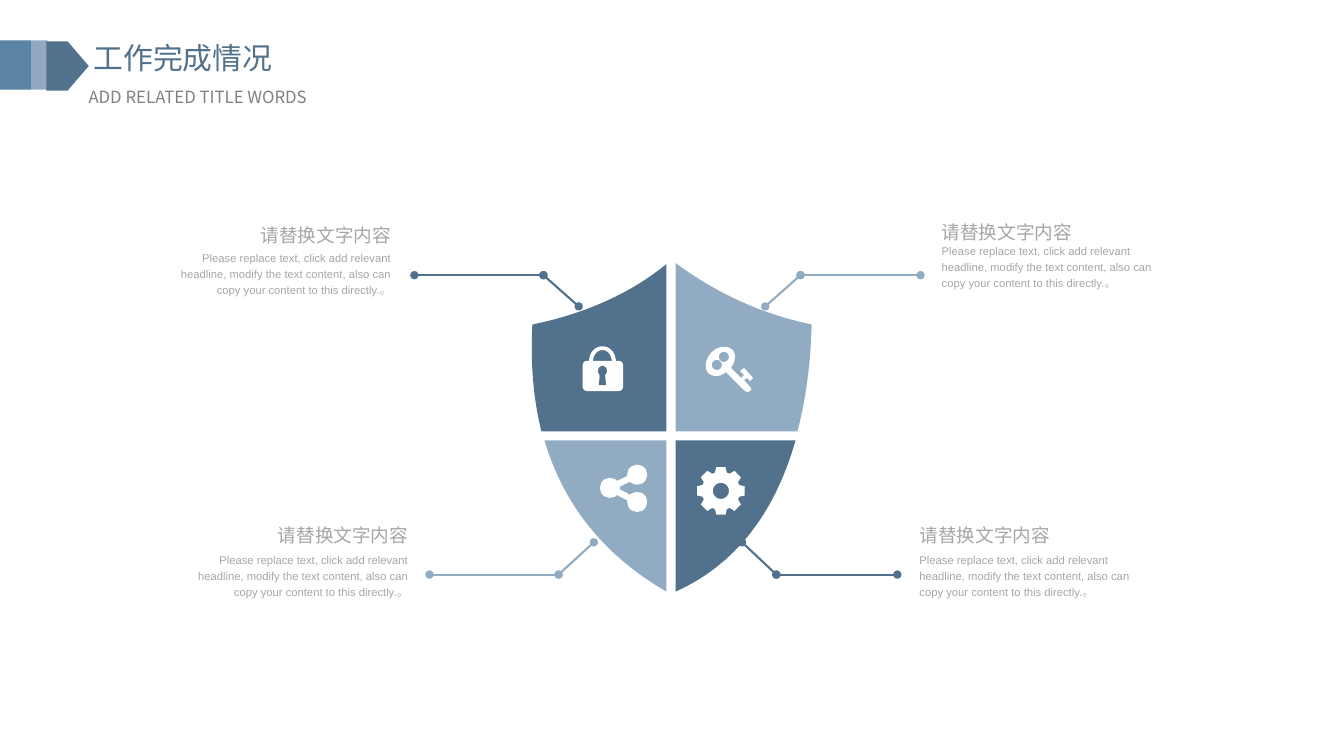
import math

import lxml.etree
import pptx
import pptx.dml.color
import pptx.enum.shapes
import pptx.enum.text
import pptx.oxml.ns
import pptx.util

Inches = pptx.util.Inches
SHAPE = pptx.enum.shapes.MSO_SHAPE
ALIGN = pptx.enum.text.PP_ALIGN
DARK, LIGHT, WHITE = "51718D", "91ACC2", "FFFFFF"
GREY = "A6A6A6"
HEADING = "请替换文字内容"
BODY = ("Please replace text, click add relevant headline, modify the text content, "
        "also can copy your content to this directly.。")


def color(value):
    """Return the colour for a hex string."""
    return pptx.dml.color.RGBColor.from_string(value)


def paint(shape, fill):
    """Give a shape a flat fill without line or shadow."""
    shape.shadow.inherit = False
    shape.fill.solid()
    shape.fill.fore_color.rgb = color(fill)
    shape.line.fill.background()


def add_preset(page, kind, box, fill):
    """Place a flat preset shape in a box."""
    shape = page.shapes.add_shape(kind, *map(Inches, box))
    paint(shape, fill)
    return shape


def add_text(page, box, text, size, ink, font="Arial", align=ALIGN.LEFT,
             margins=(0, 0), spacing=None, wrap=True, middle=False):
    """Place one formatted paragraph in a box."""
    frame = page.shapes.add_textbox(*map(Inches, box)).text_frame
    frame.word_wrap = wrap
    frame.auto_size = pptx.enum.text.MSO_AUTO_SIZE.SHAPE_TO_FIT_TEXT
    frame.margin_left = frame.margin_right = Inches(margins[0])
    frame.margin_top = frame.margin_bottom = Inches(margins[1])
    if middle:
        frame.vertical_anchor = pptx.enum.text.MSO_ANCHOR.MIDDLE
    para = frame.paragraphs[0]
    para.alignment = align
    para.line_spacing = spacing
    span = para.add_run()
    span.text = text
    span.font.size = pptx.util.Pt(size)
    span.font.name = font
    span.font.color.rgb = color(ink)
    east_asian = lxml.etree.SubElement(span.font._element, pptx.oxml.ns.qn("a:ea"))
    east_asian.set("typeface", font)


def add_line(page, start, end, ink, width, dots=False):
    """Draw a straight line, with round ends on request."""
    line = page.shapes.add_connector(
        pptx.enum.shapes.MSO_CONNECTOR.STRAIGHT, *map(Inches, start + end))
    line.line.color.rgb = color(ink)
    line.line.width = pptx.util.Pt(width)
    if dots:
        stroke = line.line._get_or_add_ln()
        for name in ("a:headEnd", "a:tailEnd"):
            lxml.etree.SubElement(stroke, pptx.oxml.ns.qn(name)).set("type", "oval")
    lxml.etree.SubElement(line._element.spPr, pptx.oxml.ns.qn("a:effectLst"))


def curve(start, first, second, end, steps=16):
    """Return points along a cubic curve."""
    points = []
    for step in range(steps + 1):
        t = step / steps
        weights = ((1 - t) ** 3, 3 * t * (1 - t) ** 2, 3 * t * t * (1 - t), t ** 3)
        points.append(tuple(sum(w * p[axis] for w, p in zip(weights, (start, first, second, end)))
                            for axis in (0, 1)))
    return points


def circle(x, y, radius, steps=32):
    """Return points around a circle."""
    turns = [2 * math.pi * step / steps for step in range(steps)]
    return [(x + radius * math.cos(a), y + radius * math.sin(a)) for a in turns]


def add_outline(page, left, top, contours, fill):
    """Draw closed contours, given relative to a corner, as one shape."""
    placed = [[(Inches(left + x), Inches(top + y)) for x, y in points] for points in contours]
    builder = page.shapes.build_freeform(*placed[0][0])
    builder.add_line_segments(placed[0][1:], close=True)
    for points in placed[1:]:
        builder.move_to(*points[0])
        builder.add_line_segments(points[1:], close=True)
    paint(builder.convert_to_shape(), fill)


def add_header(page, left, top):
    """Draw the arrow strip with the title and subtitle."""
    add_preset(page, SHAPE.RECTANGLE, (left, top, 0.31, 0.49), "5B83A4")
    add_preset(page, SHAPE.RECTANGLE, (left + 0.31, top, 0.16, 0.49), "91AAC0")
    add_preset(page, SHAPE.PENTAGON, (left + 0.46, top + 0.01, 0.42, 0.49), DARK)
    style = dict(font="Noto Sans CJK SC", align=ALIGN.JUSTIFY, margins=(0.1, 0.05))
    add_text(page, (left + 0.83, top - 0.06, 2.68, 0.46), "工作完成情况", 21.3, DARK, **style)
    add_text(page, (left + 0.78, top + 0.41, 2.97, 0.3), "ADD RELATED TITLE WORDS", 12,
             "808080", **style)


def add_shield(page, left, top):
    """Draw the four quarters of the shield."""
    quarters = [
        (DARK, curve((0.02, 0.61), (0.56, 0.5), (1.01, 0.29), (1.35, 0.01))
         + [(1.35, 1.67)] + curve((0.11, 1.67), (0.03, 1.35), (0, 1), (0.02, 0.61))),
        (LIGHT, [(1.44, 1.67)] + curve((1.44, 0), (1.86, 0.31), (2.31, 0.51), (2.79, 0.61))
         + curve((2.79, 0.61), (2.78, 1.01), (2.73, 1.36), (2.65, 1.67))),
        (LIGHT, [(1.35, 1.76)] + curve((1.35, 3.26), (0.73, 2.9), (0.33, 2.4), (0.14, 1.76))),
        (DARK, [(1.44, 1.76)] + curve((2.63, 1.76), (2.42, 2.5), (2.02, 3), (1.44, 3.26))),
    ]
    for fill, points in quarters:
        add_outline(page, left, top, [points], fill)


def add_lock(page, left, top):
    """Draw a padlock icon."""
    shackle = (curve((0.06, 0.17), (0.06, -0.05), (0.33, -0.05), (0.33, 0.17))
               + curve((0.29, 0.17), (0.29, 0), (0.1, 0), (0.1, 0.17)))
    add_outline(page, left, top, [shackle], WHITE)
    body = add_preset(page, SHAPE.ROUNDED_RECTANGLE, (left, top + 0.15, 0.4, 0.3), WHITE)
    body.adjustments[0] = 0.14
    add_preset(page, SHAPE.OVAL, (left + 0.15, top + 0.2, 0.09, 0.1), DARK)
    slot = [(0.17, 0.27), (0.22, 0.27), (0.23, 0.39), (0.16, 0.39)]
    add_outline(page, left, top, [slot], DARK)


def add_key(page, left, top):
    """Draw a key icon."""
    bow = (curve((0.2, 0.25), (0.18, 0.27), (0.14, 0.29), (0.11, 0.29))
           + curve((0.11, 0.29), (0.04, 0.29), (0, 0.25), (0, 0.19))
           + curve((0, 0.19), (0, 0.09), (0.09, 0), (0.18, 0))
           + curve((0.18, 0), (0.25, 0), (0.29, 0.04), (0.29, 0.1))
           + curve((0.29, 0.1), (0.29, 0.14), (0.27, 0.18), (0.25, 0.21)))
    blade = [(0.35, 0.31), (0.38, 0.28), (0.34, 0.24), (0.38, 0.21), (0.47, 0.31),
             (0.44, 0.34), (0.41, 0.31), (0.38, 0.33), (0.45, 0.41), (0.45, 0.43),
             (0.42, 0.45), (0.39, 0.44)]
    holes = [circle(0.18, 0.1, 0.05), circle(0.11, 0.18, 0.05)]
    add_outline(page, left, top, [bow + blade] + holes, WHITE)


def add_share(page, left, top):
    """Draw three linked dots."""
    hub, dots = (0.1, 0.23), [(0.37, 0.1), (0.37, 0.37)]
    for x, y in dots:
        add_line(page, (left + hub[0], top + hub[1]), (left + x, top + y), WHITE, 4.5)
    for x, y in [hub] + dots:
        add_preset(page, SHAPE.OVAL, (left + x - 0.1, top + y - 0.1, 0.2, 0.2), WHITE)


def add_gear(page, left, top):
    """Draw a gear with eight teeth."""
    profile = [(-18, 0.19), (-11, 0.24), (11, 0.24), (18, 0.19)]
    rim = []
    for tooth in range(8):
        for offset, radius in profile:
            angle = math.radians(45 * tooth + offset)
            rim.append((0.24 + radius * math.cos(angle), 0.24 + radius * math.sin(angle)))
    add_outline(page, left, top, [rim, circle(0.24, 0.24, 0.08)], WHITE)


def add_callout(page, left, top, gap, align, leader, ink):
    """Place a heading over its body text, with a bent leader line."""
    indent = 0.89 if align == ALIGN.RIGHT else 0
    add_text(page, (left, top + gap, 2.2, 0.48), BODY, 8, GREY, align=align, spacing=1.2)
    add_text(page, (left + indent, top, 1.31, 0.27), HEADING, 13.3, GREY, align=align,
             spacing=1.2, wrap=False, middle=True)
    for start, end in zip(leader, leader[1:]):
        add_line(page, start, end, ink, 1.5, dots=True)


def main():
    """Build and save the slide."""
    deck = pptx.Presentation()
    deck.slide_width, deck.slide_height = Inches(13.33), Inches(7.5)
    page = deck.slides.add_slide(deck.slide_layouts[6])
    add_header(page, 0, 0.4)
    add_shield(page, 5.26, 2.61)
    add_lock(page, 5.78, 3.43)
    add_key(page, 7, 3.44)
    add_share(page, 5.95, 4.61)
    add_gear(page, 6.91, 4.63)
    callouts = [
        (1.68, 2.18, 0.29, ALIGN.RIGHT, [(5.74, 3.04), (5.39, 2.73), (4.11, 2.73)], DARK),
        (1.85, 5.15, 0.31, ALIGN.RIGHT, [(5.89, 5.38), (5.54, 5.7), (4.26, 5.7)], LIGHT),
        (9.34, 2.15, 0.25, ALIGN.LEFT, [(7.59, 3.04), (7.94, 2.73), (9.13, 2.73)], LIGHT),
        (9.12, 5.15, 0.31, ALIGN.LEFT, [(7.36, 5.38), (7.7, 5.7), (8.9, 5.7)], DARK),
    ]
    for callout in callouts:
        add_callout(page, *callout)
    deck.save("out.pptx")


if __name__ == "__main__":
    main()
